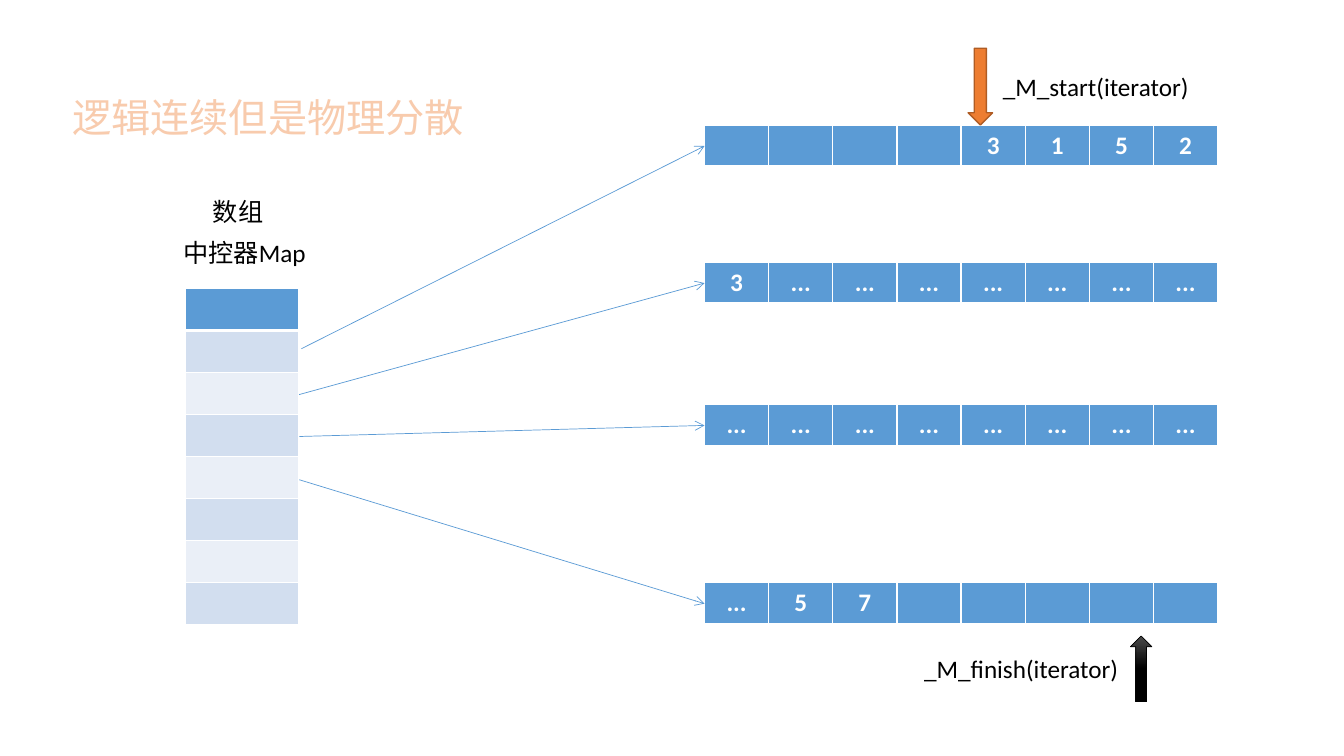
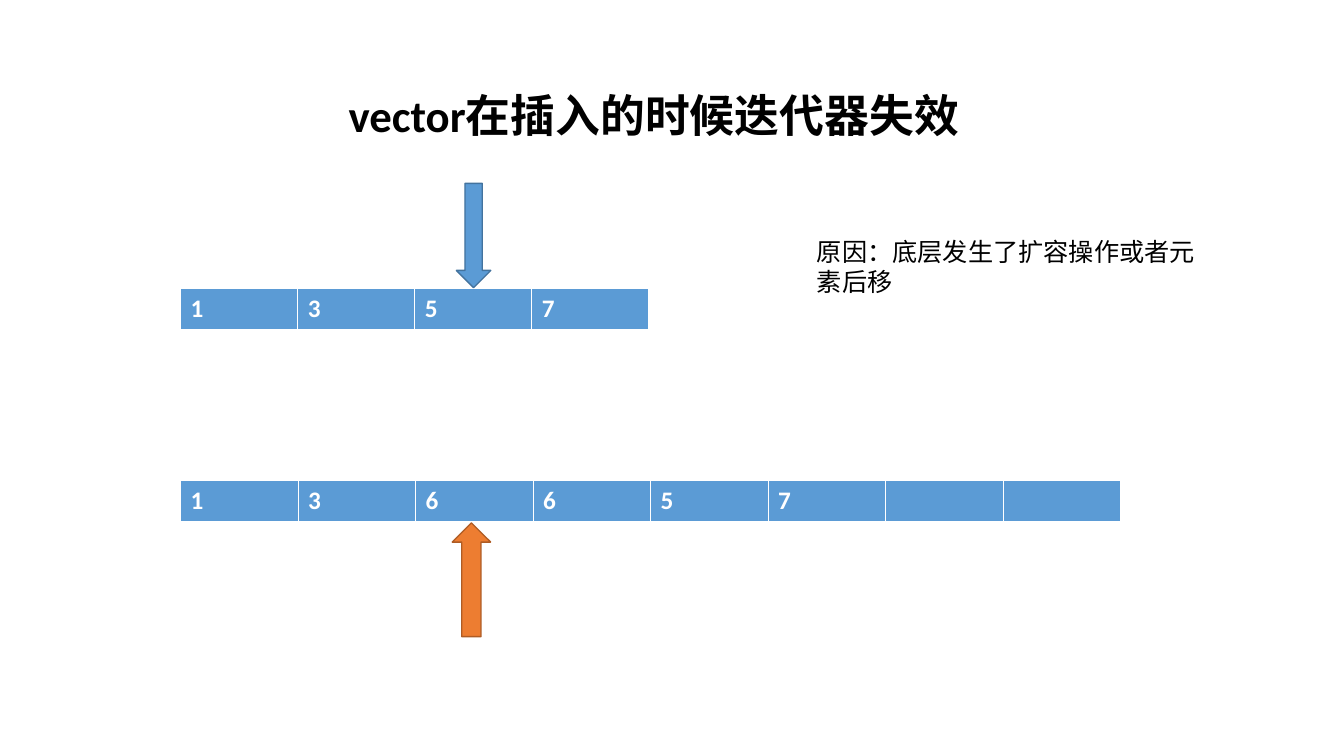
from dataclasses import dataclass
from lxml.etree import SubElement as Sub, Element as Elem
from pptx import Presentation as Deck
from pptx.dml.color import RGBColor as Rgb
from pptx.enum.shapes import MSO_CONNECTOR as Conn, MSO_SHAPE as Kind
from pptx.enum.text import PP_ALIGN as Align
from pptx.oxml.ns import qn
from pptx.util import Pt


@dataclass(frozen=True)
class Theme:
    face: str = "Calibri"
    body: int = 18
    lead: int = 28
    head: int = 32
    white: str = "FFFFFF"
    black: str = "000000"
    gray: str = "4B4B4B"
    blue: str = "5B9BD5"
    navy: str = "43739E"
    pale: str = "D2DEEF"
    mist: str = "EAEFF7"
    peach: str = "F8CBAD"
    orange: str = "ED7D31"
    rust: str = "AF5C24"


T = Theme()
BLANK = 6


def color(hue):
    return Rgb.from_string(hue)


# Text
def write(para, text, size=T.body, hue=T.black, bold=False, align=Align.LEFT, edge=None):
    para.alignment = align
    run = para.add_run()
    run.text = text
    font = run.font
    font.name, font.size, font.bold = T.face, Pt(size), bold
    font.color.rgb = color(hue)
    if edge:
        font._element.insert(0, stroke("a:ln", edge, 1.75))


def label(slide, text, x, y, w, h=29, **form):
    box = slide.shapes.add_textbox(Pt(x), Pt(y), Pt(w), Pt(h))
    box.text_frame.word_wrap = True
    write(box.text_frame.paragraphs[0], text, **form)


# Outline element for text and cell borders
def stroke(tag, hue, width):
    line = Elem(qn(tag), w=str(Pt(width)))
    Sub(Sub(line, qn("a:solidFill")), qn("a:srgbClr"), val=hue)
    return line


# Tables
def paint(cell, hue, row):
    cell.fill.solid()
    cell.fill.fore_color.rgb = color(hue)
    top, low = (3 if row == 1 else 1), (3 if row == 0 else 1)
    sides = [("L", 1), ("R", 1), ("T", top), ("B", low)]
    for spot, (side, width) in enumerate(sides):
        props = cell._tc.get_or_add_tcPr()
        props.insert(spot, stroke(f"a:ln{side}", T.white, width))


def grid(slide, rows, hues, x, y, w, high=30, align=Align.LEFT):
    count = len(rows[0])
    frame = slide.shapes.add_table(len(rows), count, Pt(x), Pt(y), Pt(w), Pt(high * len(rows)))
    table = frame.table
    table.first_row = table.horz_banding = False
    for col in table.columns:
        col.width = Pt(w / count)
    for r, (row, hue) in enumerate(zip(rows, hues)):
        table.rows[r].height = Pt(high)
        for c, text in enumerate(row):
            cell = table.cell(r, c)
            paint(cell, hue, r)
            if text:
                write(cell.text_frame.paragraphs[0], text, hue=T.white, bold=True, align=align)


def strip(slide, items, x, y, w, **form):
    grid(slide, [items], [T.blue], x, y, w, **form)


# Arrows
def arrow(slide, kind, x, y, w, h, fill, edge, width=1):
    shape = slide.shapes.add_shape(kind, Pt(x), Pt(y), Pt(w), Pt(h))
    shape.shadow.inherit = False
    shape.line.color.rgb = color(edge)
    shape.line.width = Pt(width)
    if isinstance(fill, str):
        shape.fill.solid()
        shape.fill.fore_color.rgb = color(fill)
        return
    shape.fill.gradient()
    shape.fill.gradient_angle = 270
    for stop, (place, hue) in zip(shape.fill.gradient_stops, fill):
        stop.position = place
        stop.color.rgb = color(hue)


def link(slide, start, end):
    line = slide.shapes.add_connector(Conn.STRAIGHT, *map(Pt, start + end))
    line.line.color.rgb = color(T.blue)
    line.line.width = Pt(0.5)
    Sub(line.line._get_or_add_ln(), qn("a:tailEnd"), type="arrow")
    Sub(line._element.spPr, qn("a:effectLst"))


# Slide 1: central map pointing to separate buffers
def deque(slide):
    left, wide, high = 503.25, 366.5, 30
    dots = "..."
    parts = [
        (89.3, [""] * 4 + ["3", "1", "5", "2"], (215.3, 249.1)),
        (187.2, ["3"] + [dots] * 7, (212.4, 282.2)),
        (288.9, [dots] * 8, (213.8, 311.8)),
        (416.2, [dots, "5", "7"] + [""] * 5, (213.8, 342.7)),
    ]
    for top, items, start in parts:
        strip(slide, items, left, top, wide, high=high, align=Align.CENTER)
        link(slide, start, (left, top + high / 2))
    grid(slide, [[""]] * 8, [T.blue] + [T.pale, T.mist] * 3 + [T.pale], 132.5, 206, 81, high=high)

    label(slide, "逻辑连续但是物理分散", 44.6, 63.4, 326, 41, size=T.lead, hue=T.peach, edge=T.orange)
    label(slide, "数组", 145, 136.8, 68)
    label(slide, "中控器Map", 123.8, 166, 150)

    # Iterator marks
    arrow(slide, Kind.DOWN_ARROW, 691.5, 34.5, 17.5, 54.8, T.orange, T.rust)
    label(slide, "_M_start(iterator)", 709.2, 47.5, 148)
    shade = [(0, T.gray), (0.5, T.black)]
    arrow(slide, Kind.UP_ARROW, 807.5, 454.3, 15.3, 46.8, shade, T.black, 0.5)
    label(slide, "_M_finish(iterator)", 653, 463, 155)


# Slide 2: iterator before and after an insert
def vector(slide):
    left = 129
    label(slide, "vector在插入的时候迭代器失效", 241.9, 59, 477.4, 46, size=T.head, bold=True)
    strip(slide, list("1357"), left, 206, 334.6)
    strip(slide, list("136657") + [""] * 2, left, 343.4, 671.6)
    arrow(slide, Kind.DOWN_ARROW, 326, 131, 24.6, 74.5, T.blue, T.navy)
    arrow(slide, Kind.UP_ARROW, 323, 373.5, 27.4, 81.2, T.orange, T.rust)
    label(slide, "原因：底层发生了扩容操作或者元素后移", 576.5, 165, 296, 51)


def main():
    deck = Deck()
    deck.slide_width, deck.slide_height = Pt(960), Pt(540)
    for build in (deque, vector):
        build(deck.slides.add_slide(deck.slide_layouts[BLANK]))
    deck.save("out.pptx")


if __name__ == "__main__":
    main()
